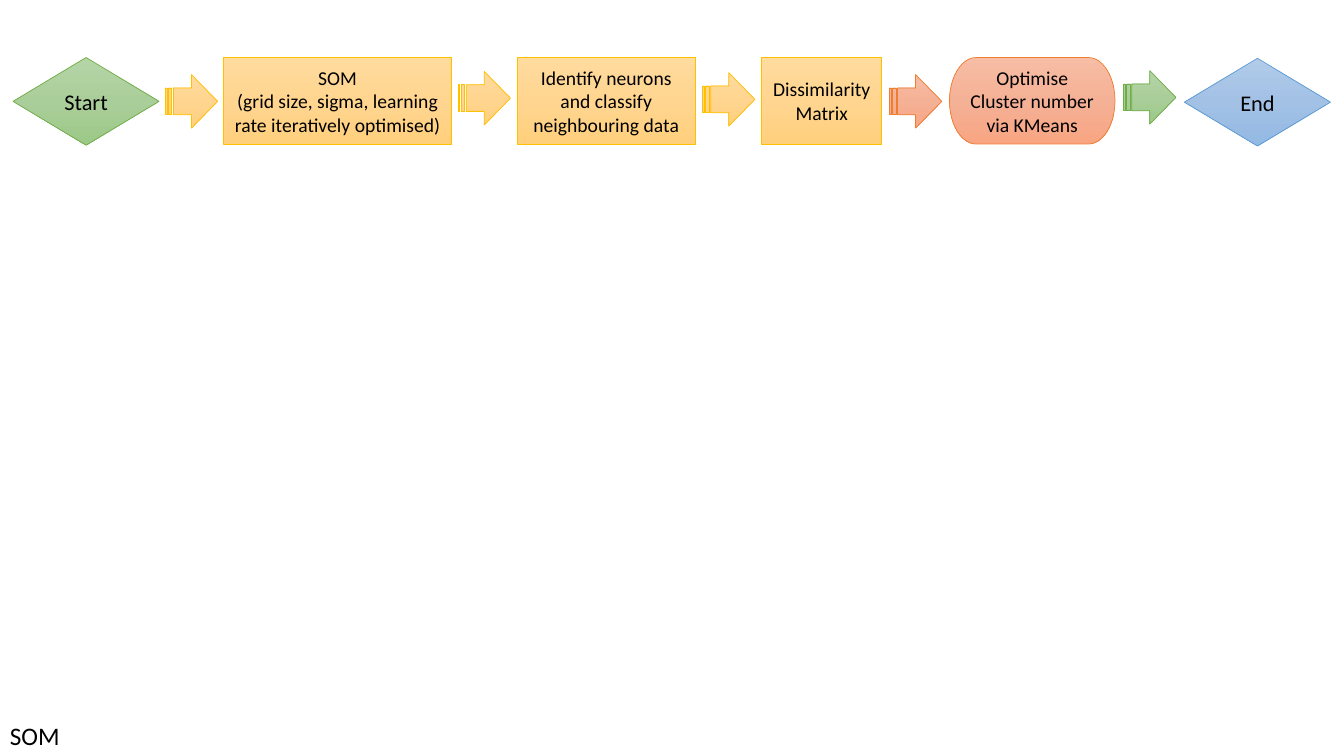
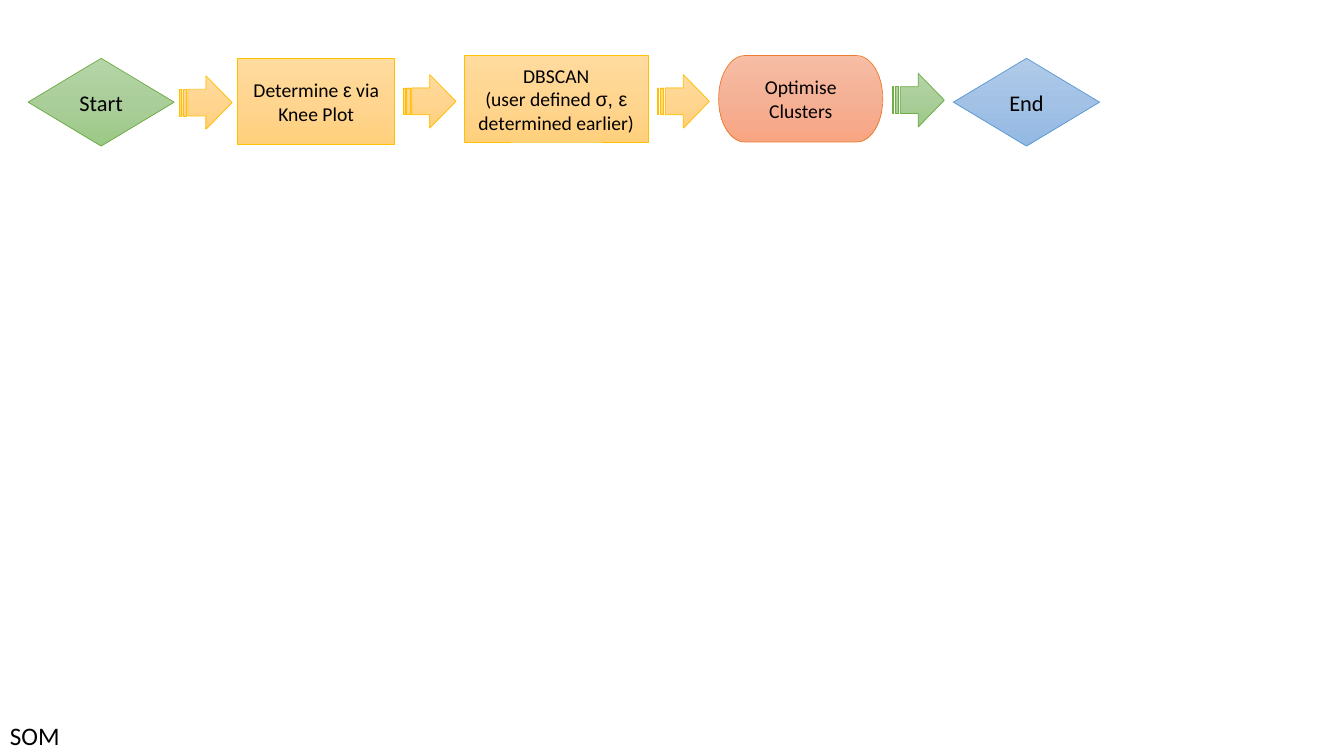
from copy import deepcopy
from dataclasses import dataclass

from pptx import Presentation
from pptx.dml.color import RGBColor
from pptx.enum.shapes import MSO_SHAPE
from pptx.enum.text import MSO_ANCHOR, PP_ALIGN
from pptx.util import Cm, Pt

DIAMOND = MSO_SHAPE.DIAMOND
RECT = MSO_SHAPE.RECTANGLE
PILL = MSO_SHAPE.FLOWCHART_TERMINATOR
ARROW = MSO_SHAPE.STRIPED_RIGHT_ARROW
CENTER = PP_ALIGN.CENTER
MIDDLE = MSO_ANCHOR.MIDDLE


@dataclass(frozen=True)
class Theme:
    # Each tint: line colour, then gradient from top to bottom
    green = ("70AD47", "B5D5A7", "AACE9A", "9CC987")
    gold = ("FFC000", "FFDB9E", "FFD590", "FFD07C")
    coral = ("ED7D31", "F7BDA5", "F5B196", "F8A582")
    blue = ("5B9BD5", "B1CBE9", "A3C1E5", "93B9E4")
    ink = "000000"
    font = "Calibri"
    greek = "Arial"
    small = 14
    large = 16
    label = 18
    line = 0.5


THEME = Theme()

# Kinds of step: shape, tint, text size, height in cm
START = (DIAMOND, THEME.green, THEME.large, 2.21)
TASK = (RECT, THEME.gold, THEME.small, 2.18)
TUNE = (PILL, THEME.coral, THEME.small, 2.18)
END = (DIAMOND, THEME.blue, THEME.large, 2.21)

# Steps: kind, lines, left, top, width; bars set off Greek runs
# Arrows: tint, top; each sits in the gap after its step
FLOWS = [
    (
        [
            (START, ["Start"], 0.33, 1.45, 3.68),
            (TASK, ["SOM", "(grid size, sigma, learning rate iteratively optimised)"],
             5.64, 1.45, 5.74),
            (TASK, ["Identify neurons and classify neighbouring data"],
             13.03, 1.45, 4.5),
            (TASK, ["Dissimilarity Matrix"], 19.2, 1.45, 3.02),
            (TUNE, ["Optimise Cluster number via KMeans"], 23.93, 1.45, 4.17),
            (END, ["End"], 29.85, 1.47, 3.68),
        ],
        [(THEME.gold, 1.88), (THEME.gold, 1.8), (THEME.gold, 1.83),
         (THEME.coral, 1.88), (THEME.green, 1.78)],
    ),
    (
        [
            (START, ["Start"], 0.71, 1.47, 3.68),
            (TASK, ["Determine |ε| via Knee Plot"], 5.99, 1.47, 3.96),
            (TASK, ["DBSCAN", "(user defined |σ, ε |determined earlier)"],
             11.71, 1.4, 4.62),
            (TUNE, ["Optimise Clusters"], 18.11, 1.4, 4.14),
            (END, ["End"], 24.03, 1.47, 3.68),
        ],
        [(THEME.gold, 1.91), (THEME.gold, 1.88), (THEME.gold, 1.88),
         (THEME.green, 1.85)],
    ),
]


class Deck:
    def __init__(self, theme):
        self.theme = theme
        self.prs = Presentation()
        self.prs.slide_width, self.prs.slide_height = Cm(33.87), Cm(19.05)
        self.slide = None

    def page(self):
        self.slide = self.prs.slides.add_slide(self.prs.slide_layouts[6])

    def shape(self, kind, tint, left, top, width, height):
        """Add a preset shape with a vertical three-stop gradient."""
        shape = self.slide.shapes.add_shape(
            kind, Cm(left), Cm(top), Cm(width), Cm(height))
        shape.shadow.inherit = False
        edge, *shades = tint
        shape.line.color.rgb = RGBColor.from_string(edge)
        shape.line.width = Pt(self.theme.line)
        fill = shape.fill
        fill.gradient()
        fill.gradient_angle = 270
        stops = shape._element.spPr.xpath("./a:gradFill/a:gsLst")[0]
        stops.insert(1, deepcopy(stops[0]))
        for stop, shade, place in zip(fill.gradient_stops, shades, (0, 0.5, 1)):
            stop.color.rgb = RGBColor.from_string(shade)
            stop.position = place
        return shape

    def text(self, frame, lines, size, align=None):
        for i, line in enumerate(lines):
            para = frame.add_paragraph() if i else frame.paragraphs[0]
            para.alignment = align
            para.font.name = self.theme.font
            para.font.size = Pt(size)
            para.font.color.rgb = RGBColor.from_string(self.theme.ink)
            for j, part in enumerate(line.split("|")):
                run = para.add_run()
                run.text = part
                if j % 2:
                    run.font.name = self.theme.greek

    def step(self, kind, lines, left, top, width):
        form, tint, size, height = kind
        frame = self.shape(form, tint, left, top, width, height).text_frame
        frame.word_wrap = True
        frame.vertical_anchor = MIDDLE
        self.text(frame, lines, size, CENTER)

    def arrow(self, tint, top, start, stop):
        """Centre an arrow between two horizontal positions."""
        width = 1.32
        left = (start + stop - width) / 2
        self.shape(ARROW, tint, left, top, width, 1.35)

    def label(self, words):
        box = self.slide.shapes.add_textbox(Cm(0), Cm(18.03), Cm(1.78), Cm(1.02))
        box.text_frame.word_wrap = False
        self.text(box.text_frame, [words], self.theme.label)

    def flow(self, steps, arrows):
        for step in steps:
            self.step(*step)
        for (*_, left, _, width), after, (tint, top) in zip(steps, steps[1:], arrows):
            self.arrow(tint, top, left + width, after[2])


def main():
    deck = Deck(THEME)
    # One flow chart on each slide
    for steps, arrows in FLOWS:
        deck.page()
        deck.flow(steps, arrows)
        deck.label("SOM")
    deck.prs.save("out.pptx")


if __name__ == "__main__":
    main()
